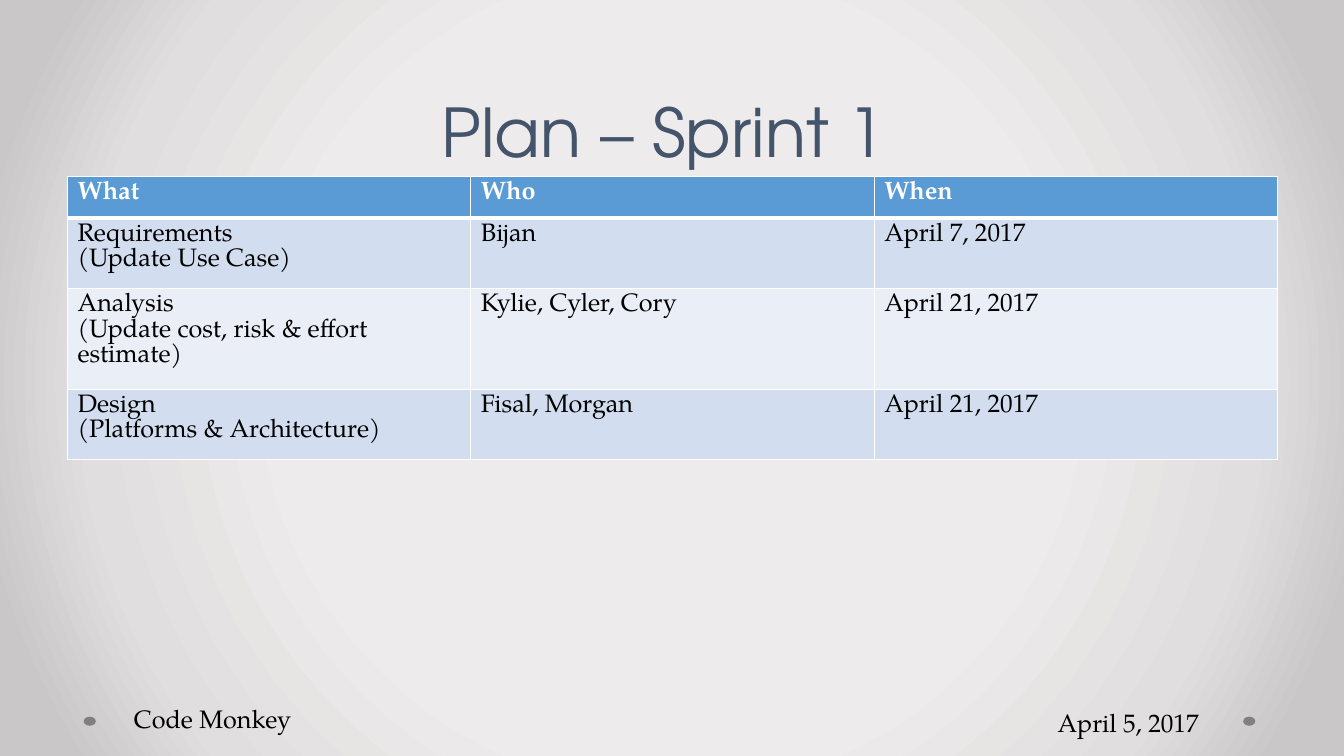
from pptx import Presentation, util as u
from pptx.dml.color import RGBColor
from pptx.enum import shapes, text
from pptx.oxml import parse_xml
from pptx.oxml.ns import nsdecls

WIDTH, HEIGHT = 13.33, 7.5
MARGIN = 0.67
HEADING_FONT, BODY_FONT = "TeX Gyre Adventor", "TeX Gyre Pagella"
BACKDROP = [(50, "EDEBEB"), (76, "E0DEDE"), (92, "C9C7C7")]
BANDS = ["D2DEEF", "EAEFF7"]
PLAN = [
    ("What", "Who", "When"),
    ("Requirements\n(Update Use Case)", "Bijan", "April 7, 2017"),
    ("Analysis\n(Update cost, risk & effort estimate)", "Kylie, Cyler, Cory", "April 21, 2017"),
    ("Design\n(Platforms & Architecture)", "Fisal, Morgan", "April 21, 2017"),
]


def inches(box):
    return [u.Inches(length) for length in box]


def paint(fill, color):
    fill.solid()
    fill.fore_color.rgb = RGBColor.from_string(color)


def write(frame, words, size=18, font=BODY_FONT, color="000000", bold=False):
    frame.text = words
    for para in frame.paragraphs:
        for span in para.runs:
            span.font.size = u.Pt(size)
            span.font.name = font
            span.font.bold = bold
            span.font.color.rgb = RGBColor.from_string(color)


def add_backdrop(page):
    stops = "".join(
        f'<a:gs pos="{share * 1000}"><a:srgbClr val="{color}"/></a:gs>' for share, color in BACKDROP
    )
    page.element.cSld.insert(0, parse_xml(
        f'<p:bg {nsdecls("p", "a")}><p:bgPr><a:gradFill><a:gsLst>{stops}</a:gsLst>'
        '<a:path path="circle"><a:fillToRect l="50000" t="50000" r="50000" b="50000"/></a:path>'
        '</a:gradFill><a:effectLst/></p:bgPr></p:bg>'
    ))


def add_title(page, box, words):
    frame = page.shapes.add_textbox(*inches(box)).text_frame
    frame.word_wrap = True
    frame.vertical_anchor = text.MSO_ANCHOR.BOTTOM
    write(frame, words, 48, HEADING_FONT, "44546A")
    frame.paragraphs[0].alignment = text.PP_ALIGN.CENTER
    frame.paragraphs[0].line_spacing = u.Pt(48)


def add_borders(cell, bottom):
    properties = cell._tc.get_or_add_tcPr()
    for place, (side, points) in enumerate([("L", 1), ("R", 1), ("T", 1), ("B", bottom)]):
        properties.insert(place, parse_xml(
            f'<a:ln{side} {nsdecls("a")} w="{u.Pt(points)}"><a:solidFill>'
            f'<a:srgbClr val="FFFFFF"/></a:solidFill></a:ln{side}>'
        ))


def add_plan(page, box, rows):
    table = page.shapes.add_table(len(rows), len(rows[0]), *inches(box)).table
    for index, row in enumerate(rows):
        header = index == 0
        for column, words in enumerate(row):
            cell = table.cell(index, column)
            write(cell.text_frame, words, color="FFFFFF" if header else "000000", bold=header)
            paint(cell.fill, "5B9BD5" if header else BANDS[(index - 1) % 2])
            add_borders(cell, 3 if header else 1)


def add_label(page, box, words):
    frame = page.shapes.add_textbox(*inches(box)).text_frame
    frame.word_wrap = False
    frame.auto_size = text.MSO_AUTO_SIZE.SHAPE_TO_FIT_TEXT
    write(frame, words)


def add_footer(page, box, team, date):
    left, top, width, height = box
    dot_width, dot_height = 0.12, 0.09
    for dot_left in (left, left + width - dot_width):
        dot = page.shapes.add_shape(
            shapes.MSO_SHAPE.OVAL, *inches((dot_left, top + 0.18, dot_width, dot_height)))
        dot.shadow.inherit = False
        paint(dot.fill, "808080")
        dot.line.fill.background()
    add_label(page, (left + 0.4, top, 1.78, 0.4), team)
    add_label(page, (left + width - 2.06, top + 0.04, 1.62, 0.4), date)


deck = Presentation()
deck.slide_width, deck.slide_height = inches((WIDTH, HEIGHT))
page = deck.slides.add_slide(deck.slide_layouts[6])
add_backdrop(page)
add_title(page, (MARGIN, 0, 12, 1.75), "Plan – Sprint 1 ")
add_plan(page, (MARGIN, 1.75, 12, 0.41 * len(PLAN)), PLAN)
add_footer(page, (0.83, 6.93, 11.62, 0.44), "Code Monkey", "April 5, 2017")
deck.save("out.pptx")
